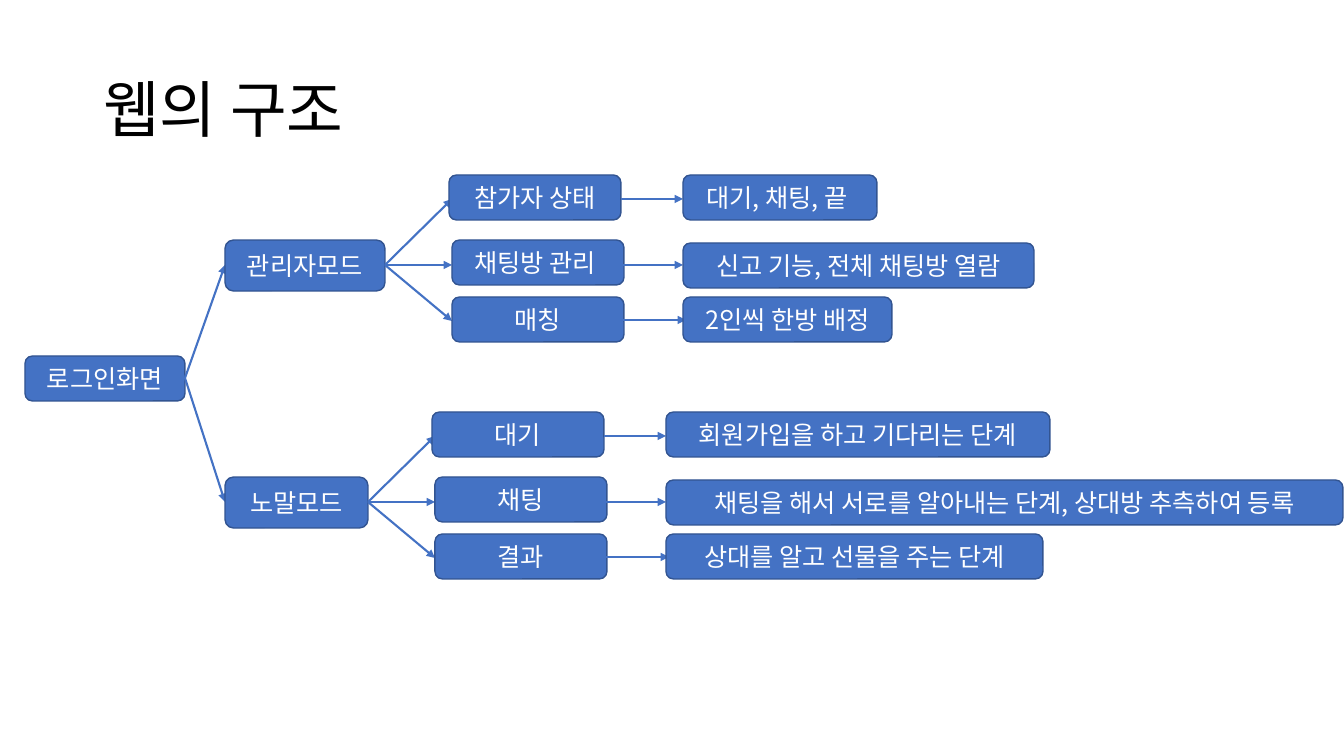
import pptx
import pptx.dml.color
import pptx.enum.shapes
import pptx.enum.text
import pptx.oxml
import pptx.oxml.ns
import pptx.util

PX = 914400 / 100.8
FONT = "Noto Sans CJK KR"
BLACK = pptx.dml.color.RGBColor(0x00, 0x00, 0x00)
WHITE = pptx.dml.color.RGBColor(0xFF, 0xFF, 0xFF)
BLUE = pptx.dml.color.RGBColor(0x44, 0x72, 0xC4)
DARK_BLUE = pptx.dml.color.RGBColor(0x32, 0x54, 0x91)

ROOT_LEFT, ROOT_TOP, BOX_H = 25, 356, 45
MODE_LEFT, MODE_H = 225, 51
STATE_W = 172
BRANCH_DX, DETAIL_DX = 67, 298
ROWS = [
    {"state_dx": 64, "state_dy": -90, "detail_dy": -90, "tip_dy": -66,
     "arrow_dx": 236, "arrow_dy": -66, "arrow_w": 62},
    {"state_dx": 67, "state_dy": -25, "detail_dy": -22, "tip_dy": 0,
     "arrow_dx": 236, "arrow_dy": 0, "arrow_w": 62},
    {"state_dx": 67, "state_dy": 32, "detail_dy": 32, "tip_dy": 56,
     "arrow_dx": 238, "arrow_dy": 55, "arrow_w": 63},
]
MODES = [
    ("관리자모드", 160, 265, [
        ("참가자 상태", "대기, 채팅, 끝 ", 194),
        ("채팅방 관리 ", "신고 기능, 전체 채팅방 열람", 351),
        ("매칭", "2인씩 한방 배정", 209),
    ]),
    ("노말모드", 143, 502, [
        ("대기", "회원가입을 하고 기다리는 단계", 384),
        ("채팅", "채팅을 해서 서로를 알아내는 단계, 상대방 추측하여 등록", 677),
        ("결과", "상대를 알고 선물을 주는 단계", 377),
    ]),
]


def px(n):
    return pptx.util.Emu(round(n * PX))


def write_text(sp, text, size=18, color=WHITE, align="CENTER", spacing=None):
    tf = sp.text_frame
    tf.word_wrap = True
    tf.auto_size = pptx.enum.text.MSO_AUTO_SIZE.NONE
    tf.vertical_anchor = pptx.enum.text.MSO_ANCHOR.MIDDLE
    p = tf.paragraphs[0]
    p.alignment = getattr(pptx.enum.text.PP_ALIGN, align)
    if spacing:
        p.line_spacing = spacing
    r = p.add_run()
    r.text = text
    r.font.size = pptx.util.Pt(size)
    r.font.color.rgb = color
    r.font.name = FONT
    ea = pptx.oxml.parse_xml(
        f'<a:ea {pptx.oxml.ns.nsdecls("a")} typeface="{FONT}"/>')
    r.font._element.find(pptx.oxml.ns.qn("a:latin")).addnext(ea)


def add_title(s, text):
    sp = s.shapes.title
    sp.left, sp.top, sp.width, sp.height = map(px, (93, 40, 1159, 146))
    write_text(sp, text, size=44, color=BLACK, align="LEFT", spacing=0.9)


def add_box(s, text, left, top, width, height=BOX_H):
    sp = s.shapes.add_shape(
        pptx.enum.shapes.MSO_SHAPE.ROUNDED_RECTANGLE,
        *map(px, (left, top, width, height)))
    sp.shadow.inherit = False
    sp.fill.solid()
    sp.fill.fore_color.rgb = BLUE
    sp.line.color.rgb = DARK_BLUE
    sp.line.width = pptx.util.Pt(1)
    write_text(sp, text)


def add_arrow(s, x1, y1, x2, y2):
    c = s.shapes.add_connector(
        pptx.enum.shapes.MSO_CONNECTOR.STRAIGHT, *map(px, (x1, y1, x2, y2)))
    c.line.color.rgb = BLUE
    c.line.width = pptx.util.Pt(1.5)
    ns = pptx.oxml.ns.nsdecls("a")
    c.line._get_or_add_ln().append(
        pptx.oxml.parse_xml(f'<a:tailEnd {ns} type="triangle"/>'))
    c._element.spPr.append(pptx.oxml.parse_xml(f"<a:effectLst {ns}/>"))


def add_mode(s, name, width, mid, states):
    right = MODE_LEFT + width
    add_box(s, name, MODE_LEFT, mid - MODE_H // 2, width, MODE_H)
    for row in ROWS:
        add_arrow(s, right, mid, right + BRANCH_DX, mid + row["tip_dy"])
    for row, (state, detail, detail_w) in zip(ROWS, states):
        add_box(s, state, right + row["state_dx"], mid + row["state_dy"],
                STATE_W)
        x, y = right + row["arrow_dx"], mid + row["arrow_dy"]
        add_arrow(s, x, y, x + row["arrow_w"], y)
        add_box(s, detail, right + DETAIL_DX, mid + row["detail_dy"], detail_w)


def main():
    prs = pptx.Presentation()
    prs.slide_width, prs.slide_height = px(1344), px(756)
    s = prs.slides.add_slide(prs.slide_layouts[5])
    add_title(s, "웹의 구조")
    add_box(s, "로그인화면", ROOT_LEFT, ROOT_TOP, 160)
    for name, width, mid, states in MODES:
        add_arrow(s, ROOT_LEFT + 160, 378, MODE_LEFT, mid)
        add_mode(s, name, width, mid, states)
    prs.save("out.pptx")


main()
